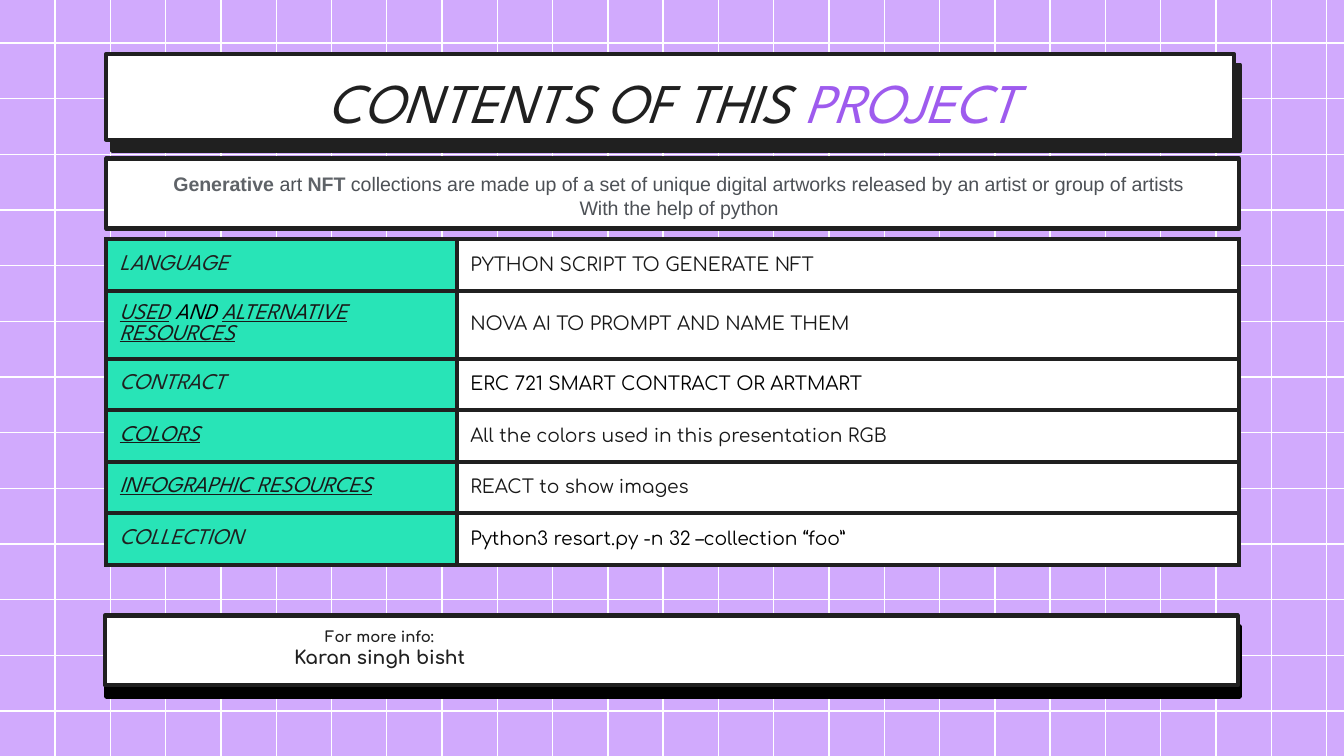
from dataclasses import dataclass

from lxml import etree
from pptx import Presentation
from pptx import util as u
from pptx.dml.color import RGBColor
from pptx.enum import shapes, text
from pptx.oxml import ns


@dataclass(frozen=True)
class Theme:
    lilac: str = "D1AAFD"
    violet: str = "9E5BEE"
    mint: str = "28E4B7"
    white: str = "FFFFFF"
    ink: str = "202020"
    soft_ink: str = "191919"
    black: str = "000000"
    gray: str = "4D5156"
    strong_gray: str = "5F6368"
    display: str = "League Spartan"
    body: str = "Comfortaa"
    plain: str = "Arial"
    title_size: float = 30
    label_size: float = 12
    intro_size: float = 10.5
    body_size: float = 10
    small_size: float = 8
    grid_width: float = 0.75
    border_width: float = 2.25


def rgb(color):
    return RGBColor.from_string(color)


def add_node(parent, tag, **attributes):
    return etree.SubElement(parent, ns.qn(tag), **attributes)


def write(para, words, *, size, font, color, bold=False, italic=False, underline=False):
    span = para.add_run()
    span.text = words
    span.font.size = u.Pt(size)
    span.font.name = font
    span.font.color.rgb = rgb(color)
    span.font.bold = bold
    span.font.italic = italic
    span.font.underline = underline


class SlideBuilder:
    def __init__(self, page, theme):
        self.page = page
        self.theme = theme
        page.background.fill.solid()
        page.background.fill.fore_color.rgb = rgb(theme.lilac)

    def line(self, x1, y1, x2, y2):
        line = self.page.shapes.add_connector(
            shapes.MSO_CONNECTOR.STRAIGHT, *map(u.Inches, (x1, y1, x2, y2))
        )
        line.line.color.rgb = rgb(self.theme.white)
        line.line.width = u.Pt(self.theme.grid_width)
        add_node(line._element.spPr, "a:effectLst")

    def panel(self, left, top, width, height, shadow=None):
        box = self.page.shapes.add_shape(
            shapes.MSO_SHAPE.RECTANGLE, *map(u.Inches, (left, top, width, height))
        )
        box.shadow.inherit = False
        box.fill.solid()
        box.fill.fore_color.rgb = rgb(self.theme.white)
        box.line.color.rgb = rgb(self.theme.ink)
        box.line.width = u.Pt(self.theme.border_width)
        if shadow:
            color, distance, angle = shadow
            effects = box._element.spPr.find(ns.qn("a:effectLst"))
            outer = add_node(
                effects, "a:outerShdw", blurRad="0", dist=str(u.Pt(distance)),
                dir=str(angle * 60000), algn="bl", rotWithShape="0",
            )
            add_node(outer, "a:srgbClr", val=color)
        return box

    def frame(self, box, right=0.1):
        frame = box.text_frame
        frame.word_wrap = True
        frame.auto_size = text.MSO_AUTO_SIZE.NONE
        frame.vertical_anchor = text.MSO_ANCHOR.TOP
        frame.margin_left = frame.margin_top = frame.margin_bottom = u.Inches(0.1)
        frame.margin_right = u.Inches(right)
        frame.paragraphs[0].alignment = text.PP_ALIGN.CENTER
        return frame

    def title(self, left, top, width, height, spans):
        box = self.page.shapes.title
        box.left, box.top, box.width, box.height = map(u.Inches, (left, top, width, height))
        self.page.shapes[-1]._element.addnext(box._element)
        para = self.frame(box).paragraphs[0]
        for words, color in spans:
            write(para, words, size=self.theme.title_size, font=self.theme.display,
                  color=color, italic=True)

    def textbox(self, left, top, width, height):
        box = self.page.shapes.add_textbox(*map(u.Inches, (left, top, width, height)))
        return self.frame(box)

    def cell(self, cell, fill, spans, **style):
        properties = cell._tc.get_or_add_tcPr()
        for side in ("a:lnL", "a:lnR", "a:lnT", "a:lnB"):
            border = add_node(properties, side, w=str(u.Pt(self.theme.border_width)))
            add_node(add_node(border, "a:solidFill"), "a:srgbClr", val=self.theme.ink)
        cell.fill.solid()
        cell.fill.fore_color.rgb = rgb(fill)
        cell.vertical_anchor = text.MSO_ANCHOR.MIDDLE
        cell.margin_left = cell.margin_right = u.Inches(0.1)
        cell.margin_top = cell.margin_bottom = u.Inches(0.1)
        for words, color, underline in spans:
            write(cell.text_frame.paragraphs[0], words, color=color,
                  underline=underline, **style)

    def table(self, left, top, widths, height, rows):
        table = self.page.shapes.add_table(
            len(rows), len(widths),
            *map(u.Inches, (left, top, sum(widths), height)),
        ).table
        table.first_row = table.horz_banding = False
        for column, width in zip(table.columns, widths):
            column.width = u.Inches(width)
        for row, (label, detail, color) in zip(table.rows, rows):
            row.height = u.Inches(height / len(rows))
            self.cell(row.cells[0], self.theme.mint, label, size=self.theme.label_size,
                      font=self.theme.display, italic=True)
            self.cell(row.cells[1], self.theme.white, [(detail, color, False)],
                      size=self.theme.body_size, font=self.theme.body)


def main():
    theme = Theme()
    deck = Presentation()
    deck.slide_width = u.Inches(10)
    deck.slide_height = deck.slide_width * 9 // 16
    slide = SlideBuilder(deck.slides.add_slide(deck.slide_layouts[5]), theme)

    for row in range(13):
        y = 0.32 + row * 4.97 / 12
        slide.line(0, y, 10, y)
    for column in range(24):
        x = 0.41 + column * 9.46 / 23
        slide.line(x, 0, x, 5.63)

    left, width = 0.79, 8.43
    slide.panel(left, 0.4, 8.39, 0.64, shadow=(theme.ink, 6.8, 60))
    slide.panel(0.78, 4.58, width, 0.52, shadow=(theme.black, 6, 81))
    slide.title(left, 0.4, width, 0.63,
                [("CONTENTS OF THIS ", theme.ink), ("PROJECT", theme.violet)])

    intro = slide.frame(slide.panel(left, 1.18, width, 0.52), right=0)
    style = dict(size=theme.intro_size, font=theme.plain)
    for words, bold in (
        ("Generative", True),
        (" art ", False),
        ("NFT", True),
        (" collections are made up of a set of unique digital artworks"
         " released by an artist or group of artists", False),
    ):
        write(intro.paragraphs[0], words, bold=bold,
              color=theme.strong_gray if bold else theme.gray, **style)
    closing = intro.add_paragraph()
    closing.alignment = text.PP_ALIGN.CENTER
    write(closing, "With the help of python", color=theme.gray, **style)

    soft, black = theme.soft_ink, theme.black
    rows = [
        ([("LANGUAGE", theme.ink, False)], "PYTHON SCRIPT TO GENERATE NFT", soft),
        ([("USED", soft, True), (" AND ", black, False),
          ("ALTERNATIVE RESOURCES", soft, True)], "NOVA AI TO PROMPT AND NAME THEM", soft),
        ([("CONTRACT", theme.ink, False)], "ERC 721 SMART CONTRACT OR ARTMART", black),
        ([("COLORS", soft, True)], "All the colors used in this presentation RGB", soft),
        ([("INFOGRAPHIC RESOURCES", soft, True)], "REACT to show images", soft),
        ([("COLLECTION", theme.ink, False)], "Python3 resart.py -n 32 –collection “foo”", black),
    ]
    slide.table(left, 1.78, [2.61, 5.82], 2.3, rows)

    contact = slide.textbox(0.96, 4.57, 3.73, 0.5).paragraphs[0]
    style = dict(font=theme.body, color=theme.ink, bold=True)
    write(contact, "For more info:", size=theme.small_size, **style)
    contact.add_line_break()
    write(contact, "Karan singh bisht", size=theme.body_size, **style)

    deck.save("out.pptx")


if __name__ == "__main__":
    main()
